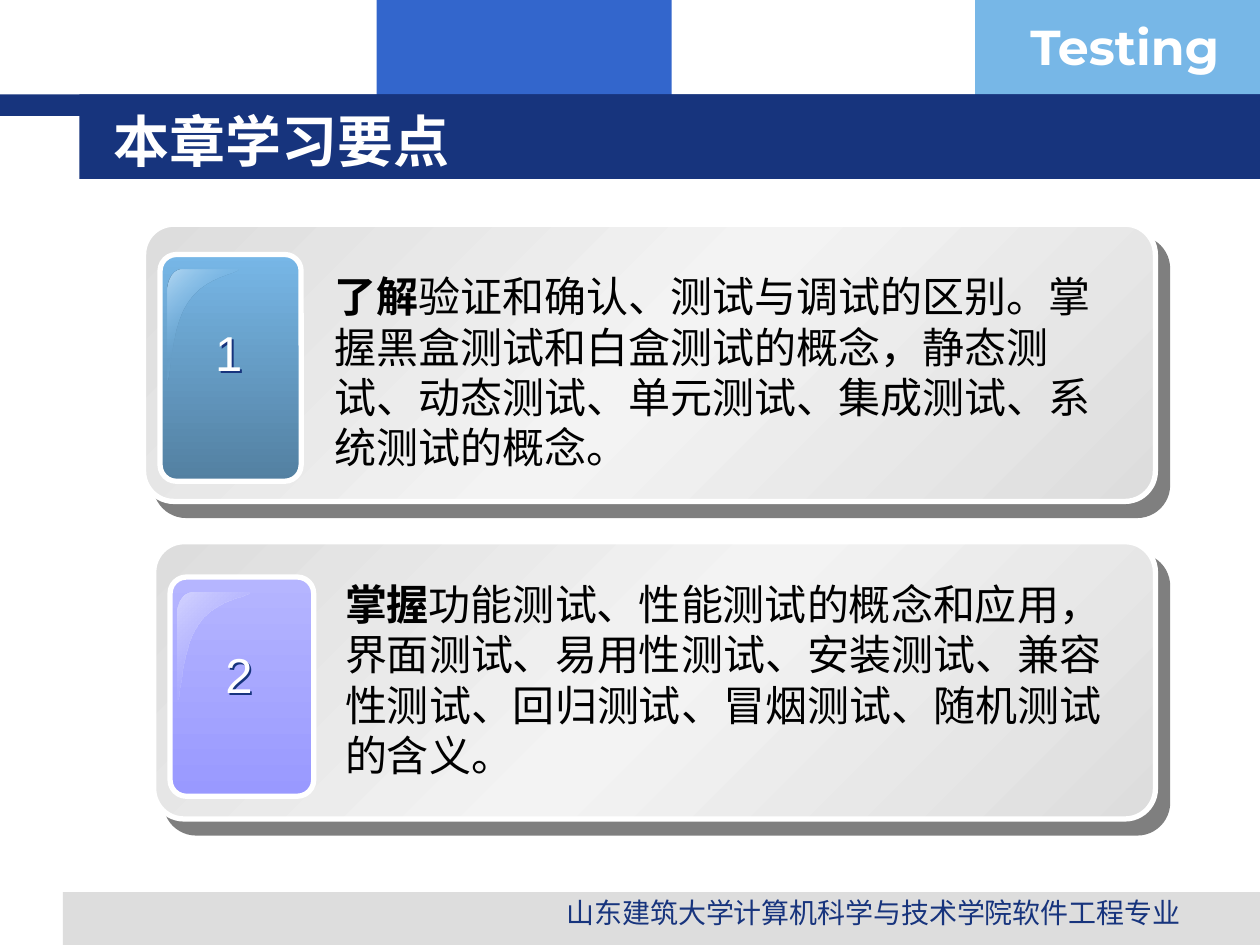
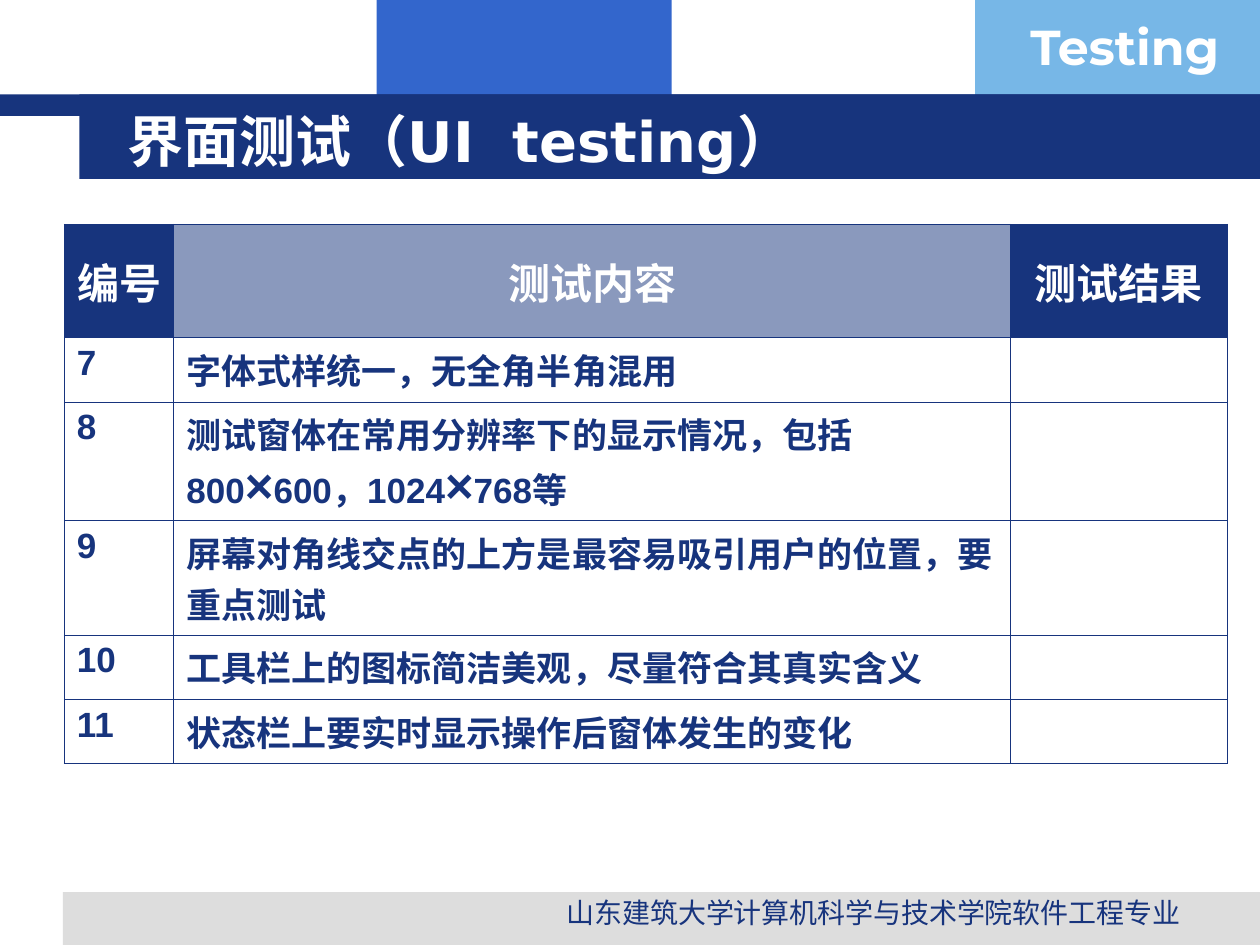
from lxml import etree
from pptx import Presentation
from pptx.dml.color import RGBColor
from pptx.enum.lang import MSO_LANGUAGE_ID as Lang
from pptx.enum.shapes import MSO_SHAPE as Preset
from pptx.enum.text import MSO_ANCHOR as Anchor, PP_ALIGN as Align
from pptx.oxml import parse_xml
from pptx.oxml.ns import nsdecls, qn
from pptx.util import Inches, Pt

COLORS = {
    "navy": "17347D", "blue": "3366CC", "sky": "77B7E7", "grey": "DDDDDD",
    "silver": "F3F3F3", "white": "FFFFFF", "black": "000000",
    "steel": "5380A1", "ice": "B5D8F2",
    "lilac": "B5B5FF", "violet": "9999FF", "mist": "D4D4FF",
}
BODY = {"name": "Arial", "size": Pt(24), "bold": False, "color": "black"}
TITLE = {"name": "DejaVu Sans", "size": Pt(32), "bold": True, "color": "white"}
BADGE = BODY | {"size": Pt(28), "color": "white"}
LOGOTYPE = {"name": "Montserrat", "size": Pt(28), "bold": True, "color": "white"}
FOOTER = BODY | {"size": Pt(16), "color": "navy"}
HEAD = BODY | {"bold": True, "color": "white"}
CELL = BODY | {"size": Pt(20), "bold": True, "color": "navy"}

BANDS = [  # left, top, width, height, colour
    (2.99, 0, 2.34, 0.92, "blue"),
    (7.74, 0, 2.26, 0.92, "sky"),
    (0.5, 7.08, 9.5, 0.42, "grey"),
    (0, 0.75, 10, 0.17, "navy"),
    (0.63, 0.75, 9.37, 0.67, "navy"),
]
# Highlight outline in fractions of its box: three cubic curves
GLOSS_CURVES = [
    [(0.2, 0), (0.09, 0), (0, 0.09), (0, 0.19)],
    [(0, 0.98), (0.05, 1), (0.04, 0.51), (0.29, 0.29)],
    [(0.29, 0.29), (0.52, 0.06), (1, 0.04), (1, 0)],
]
CARDS = [
    {
        "box": (1.14, 1.78, 8.03, 2.2), "tile": (0.13, 0.24, 1.12, 1.8),
        "text_top": 0.32, "number": "1",
        "tile_stops": [(0, "sky", 100), (100, "steel", 100)],
        "gloss_stops": [(0, "ice", 100), (50, "sky", 0), (100, "ice", 100)],
        "lead": "了解",
        "text": "验证和确认、测试与调试的区别。掌握黑盒测试和白盒测试的概念，"
                "静态测试、动态测试、单元测试、集成测试、系统测试的概念。",
    },
    {
        "box": (1.22, 4.3, 7.95, 2.2), "tile": (0.13, 0.28, 1.14, 1.74),
        "text_top": 0.24, "number": "2",
        "tile_stops": [(0, "lilac", 100), (100, "violet", 100)],
        "gloss_stops": [(0, "mist", 100), (100, "violet", 0)],
        "lead": "掌握",
        "text": "功能测试、性能测试的概念和应用，界面测试、易用性测试、安装测试、"
                "兼容性测试、回归测试、冒烟测试、随机测试的含义。",
    },
]
HEADINGS = ["编号", "测试内容", "测试结果"]
TIMES = ("×", {"size": Pt(28)})
CHECKS = [  # number, text spans, row height
    ("7", ["字体式样统一，无全角半角混用"], 0.51),
    ("8", ["测试窗体在常用分辨率下的显示情况，包括800", TIMES,
           "600，1024", TIMES, "768等"], 0.94),
    ("9", ["屏幕对角线交点的上方是最容易吸引用户的位置，要重点测试"], 0.91),
    ("10", ["工具栏上的图标简洁美观，尽量符合其真实含义"], 0.51),
    ("11", ["状态栏上要实时显示操作后窗体发生的变化"], 0.51),
]
HEAD_HEIGHT = 0.9


def rgb(name):
    return RGBColor.from_string(COLORS[name])


def inches(box):
    return [Inches(value) for value in box]


def write(frame, spans, style, align=Align.LEFT):
    """Fill the first paragraph; a span is a text or (text, changed formats)."""
    para = frame.paragraphs[0]
    para.alignment = align
    para._p.get_or_add_pPr().set("hangingPunct", "0")
    for item in spans:
        text, changes = (item, {}) if isinstance(item, str) else item
        span = para.add_run()
        span.text = text
        span.font.language_id = Lang.SIMPLIFIED_CHINESE
        for key, value in (style | changes).items():
            if key == "color":
                span.font.color.rgb = rgb(value)
            elif key == "spacing":
                span.font._element.set("spc", str(value))
            else:
                setattr(span.font, key, value)


def add_text(page, box, spans, style, align=Align.LEFT, **frame_format):
    text_box = page.shapes.add_textbox(*inches(box))
    for key, value in ({"word_wrap": True} | frame_format).items():
        setattr(text_box.text_frame, key, value)
    write(text_box.text_frame, spans, style, align)
    return text_box


def fill_gradient(shape, stops, angle):
    shape.fill.background()
    stop_xml = "".join(
        f'<a:gs pos="{pos * 1000}"><a:srgbClr val="{COLORS[name]}">'
        f'<a:alpha val="{alpha * 1000}"/></a:srgbClr></a:gs>'
        for pos, name, alpha in stops)
    gradient = parse_xml(
        f'<a:gradFill {nsdecls("a")} rotWithShape="1"><a:gsLst>{stop_xml}</a:gsLst>'
        f'<a:lin ang="{angle * 60000}" scaled="0"/></a:gradFill>')
    properties = shape._element.spPr
    properties.replace(properties.find(qn("a:noFill")), gradient)


def add_shadow(shape, distance, angle, color, alpha):
    shape.shadow.inherit = False
    shape._element.spPr.find(qn("a:effectLst")).append(parse_xml(
        f'<a:outerShdw {nsdecls("a")} blurRad="0" dist="{Pt(distance)}" '
        f'dir="{angle * 60000}" algn="ctr" rotWithShape="0">'
        f'<a:srgbClr val="{COLORS[color]}"><a:alpha val="{alpha * 1000}"/>'
        f'</a:srgbClr></a:outerShdw>'))


def add_panel(page, box, radius, stops, angle):
    """Rounded panel with a gradient and a white border."""
    panel = page.shapes.add_shape(Preset.ROUNDED_RECTANGLE, *inches(box))
    panel.adjustments[0] = radius / min(box[2:])
    panel.shadow.inherit = False
    fill_gradient(panel, stops, angle)
    panel.line.color.rgb = rgb("white")
    panel.line.width = Pt(3)
    return panel


def curve_points(curve, steps=10):
    for step in range(steps + 1):
        t = step / steps
        weights = ((1 - t) ** 3, 3 * t * (1 - t) ** 2, 3 * t * t * (1 - t), t ** 3)
        yield tuple(sum(w * point[axis] for w, point in zip(weights, curve))
                    for axis in (0, 1))


def add_gloss(page, box, stops):
    left, top, width, height = box
    points = [(Inches(left + x * width), Inches(top + y * height))
              for curve in GLOSS_CURVES for x, y in curve_points(curve)]
    builder = page.shapes.build_freeform(*points[0])
    builder.add_line_segments(points[1:], close=True)
    gloss = builder.convert_to_shape()
    gloss.shadow.inherit = False
    fill_gradient(gloss, stops, 45)
    gloss.line.fill.background()


def add_frame(deck, title, title_inset=0.1):
    """New page with the shared bands, title and footer."""
    page = deck.slides.add_slide(deck.slide_layouts[6])
    for *box, color in BANDS:
        band = page.shapes.add_shape(Preset.RECTANGLE, *inches(box))
        band.shadow.inherit = False
        band.fill.solid()
        band.fill.fore_color.rgb = rgb(color)
        band.line.fill.background()
    add_text(page, (8.08, 0.08, 1.93, 0.57), ["Testing"], LOGOTYPE)
    add_text(page, (4.06, 7.06, 5.75, 0.31),
             ["山东建筑大学计算机科学与技术学院软件工程专业"], FOOTER, Align.CENTER)
    add_text(page, (0.8, 0.8, 8.53, 0.62), title, TITLE,
             vertical_anchor=Anchor.MIDDLE, margin_left=Inches(title_inset))
    return page


def add_card(page, card):
    left, top, width, height = card["box"]
    # Panel with a hard drop shadow
    panel = add_panel(page, card["box"], 0.24,
                      [(0, "grey", 100), (50, "silver", 100), (100, "grey", 100)], 45)
    add_shadow(panel, 10.6, 49, "black", 50)
    # Numbered tile, its highlight covers a quarter of it
    dx, dy, tile_width, tile_height = card["tile"]
    tile_left, tile_top = left + dx, top + dy
    add_panel(page, (tile_left, tile_top, tile_width, tile_height), 0.13,
              card["tile_stops"], 90)
    add_gloss(page, (tile_left + 0.06, tile_top + 0.12, tile_width / 2, tile_height / 2),
              card["gloss_stops"])
    badge = add_text(page, (tile_left + 0.34, tile_top + 0.49, 0.41, 0.57),
                     [card["number"]], BADGE, Align.CENTER, word_wrap=False)
    add_shadow(badge, 1.5, 45, "navy", 100)
    # Learning goal
    add_text(page, (left + 1.42, top + card["text_top"], 6.3, 1.7),
             [(card["lead"], {"bold": True}), card["text"]], BODY)


def add_borders(cell):
    properties = cell._tc.get_or_add_tcPr()
    for side in "LRTB":
        properties.append(parse_xml(
            f'<a:ln{side} {nsdecls("a")} w="{Pt(0.45)}"><a:solidFill>'
            f'<a:srgbClr val="{COLORS["navy"]}"/></a:solidFill></a:ln{side}>'))


def add_check_table(page, left, top, widths):
    heights = [HEAD_HEIGHT] + [height for *_, height in CHECKS]
    box = (left, top, sum(widths), sum(heights))
    table = page.shapes.add_table(len(heights), len(widths), *inches(box)).table
    table.first_row = table.horz_banding = False
    for column, width in zip(table.columns, widths):
        column.width = Inches(width)
    for row, height in zip(table.rows, heights):
        row.height = Inches(height)
    # Thin grid
    for cell in table.iter_cells():
        add_borders(cell)
        cell.fill.background()
    # Heading row, the middle cell half transparent
    for c, heading in enumerate(HEADINGS):
        cell = table.cell(0, c)
        cell.vertical_anchor = Anchor.MIDDLE
        cell.fill.solid()
        cell.fill.fore_color.rgb = rgb("navy")
        write(cell.text_frame, [heading], HEAD, Align.CENTER)
    color = table.cell(0, 1)._tc.tcPr.find(qn("a:solidFill"))[0]
    etree.SubElement(color, qn("a:alpha"), val="50000")
    # Checks
    for r, (number, spans, _) in enumerate(CHECKS, 1):
        write(table.cell(r, 0).text_frame, [number], CELL)
        write(table.cell(r, 1).text_frame, spans, CELL)


def main():
    deck = Presentation()
    deck.slide_width, deck.slide_height = Inches(10), Inches(7.5)

    goals = add_frame(deck, ["本章学习要点"])
    for card in CARDS:
        add_card(goals, card)

    wide_space = (" ", {"spacing": 1100})
    checks = add_frame(deck, ["界面测试（UI", wide_space, "testing）"], 0.21)
    add_check_table(checks, 0.51, 1.78, (0.87, 6.64, 1.72))

    deck.save("out.pptx")


if __name__ == "__main__":
    main()
